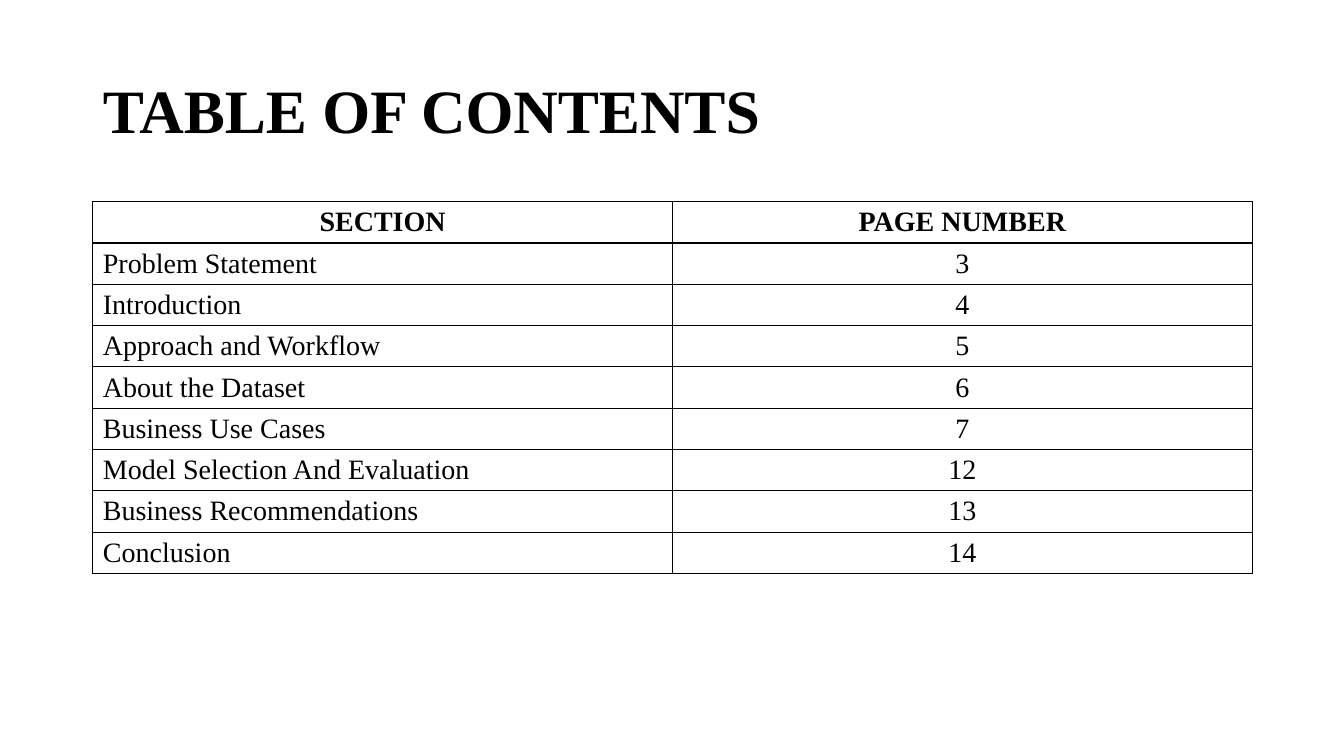
from lxml.etree import SubElement as Sub
from pptx import Presentation
from pptx.dml.color import RGBColor
from pptx.enum.text import MSO_ANCHOR as Anchor, PP_ALIGN as Align
from pptx.oxml.ns import qn
from pptx.util import Inches, Pt

FACE = "Times New Roman"
INK = "000000"
ROWS = [
    ("SECTION", "PAGE NUMBER"),
    ("Problem Statement", "3"),
    ("Introduction", "4"),
    ("Approach and Workflow", "5"),
    ("About the Dataset", "6"),
    ("Business Use Cases", "7"),
    ("Model Selection And Evaluation", "12"),
    ("Business Recommendations", "13"),
    ("Conclusion", "14"),
]


def paint(color, value):
    color.rgb = RGBColor.from_string(value)


def style(para, size, bold, align):
    para.alignment = align
    font = para.font
    font.name, font.size, font.bold = FACE, Pt(size), bold
    paint(font.color, INK)


def frame(cell):
    """Draw a one-point line on all four sides of a cell."""
    props = cell._tc.get_or_add_tcPr()
    lines = []
    for side in ("lnL", "lnR", "lnT", "lnB"):
        line = Sub(props, qn(f"a:{side}"), w=str(Pt(1)))
        Sub(Sub(line, qn("a:solidFill")), qn("a:srgbClr"), val=INK)
        lines.append(line)
    # The schema wants the lines ahead of the fill.
    props[:0] = lines


def add_title(slide, left, top, width, height):
    title = slide.shapes.title
    title.left, title.top = Inches(left), Inches(top)
    title.width, title.height = Inches(width), Inches(height)
    title.text_frame.text = "TABLE OF CONTENTS"
    title.text_frame.vertical_anchor = Anchor.MIDDLE
    para = title.text_frame.paragraphs[0]
    para.line_spacing = 0.9
    style(para, 44, True, Align.LEFT)


def add_index(slide, left, top, width, step):
    """Place the contents table, with rows of height step."""
    table = slide.shapes.add_table(
        len(ROWS), 2, Inches(left), Inches(top),
        Inches(width), Inches(step * len(ROWS))).table
    table.horz_banding = False
    for i, row in enumerate(ROWS):
        for j, text in enumerate(row):
            cell = table.cell(i, j)
            cell.text = text
            cell.vertical_anchor = Anchor.MIDDLE
            cell.fill.background()
            frame(cell)
            head = i == 0
            align = Align.CENTER if head or j else Align.LEFT
            style(cell.text_frame.paragraphs[0], 20, head, align)


def main():
    deck = Presentation()
    deck.slide_width, deck.slide_height = Inches(13.33), Inches(7.5)
    slide = deck.slides.add_slide(deck.slide_layouts[5])
    add_title(slide, 0.92, 0.4, 11.5, 1.45)
    add_index(slide, 0.92, 2, 11.5, 0.41)
    deck.save("out.pptx")


if __name__ == "__main__":
    main()
